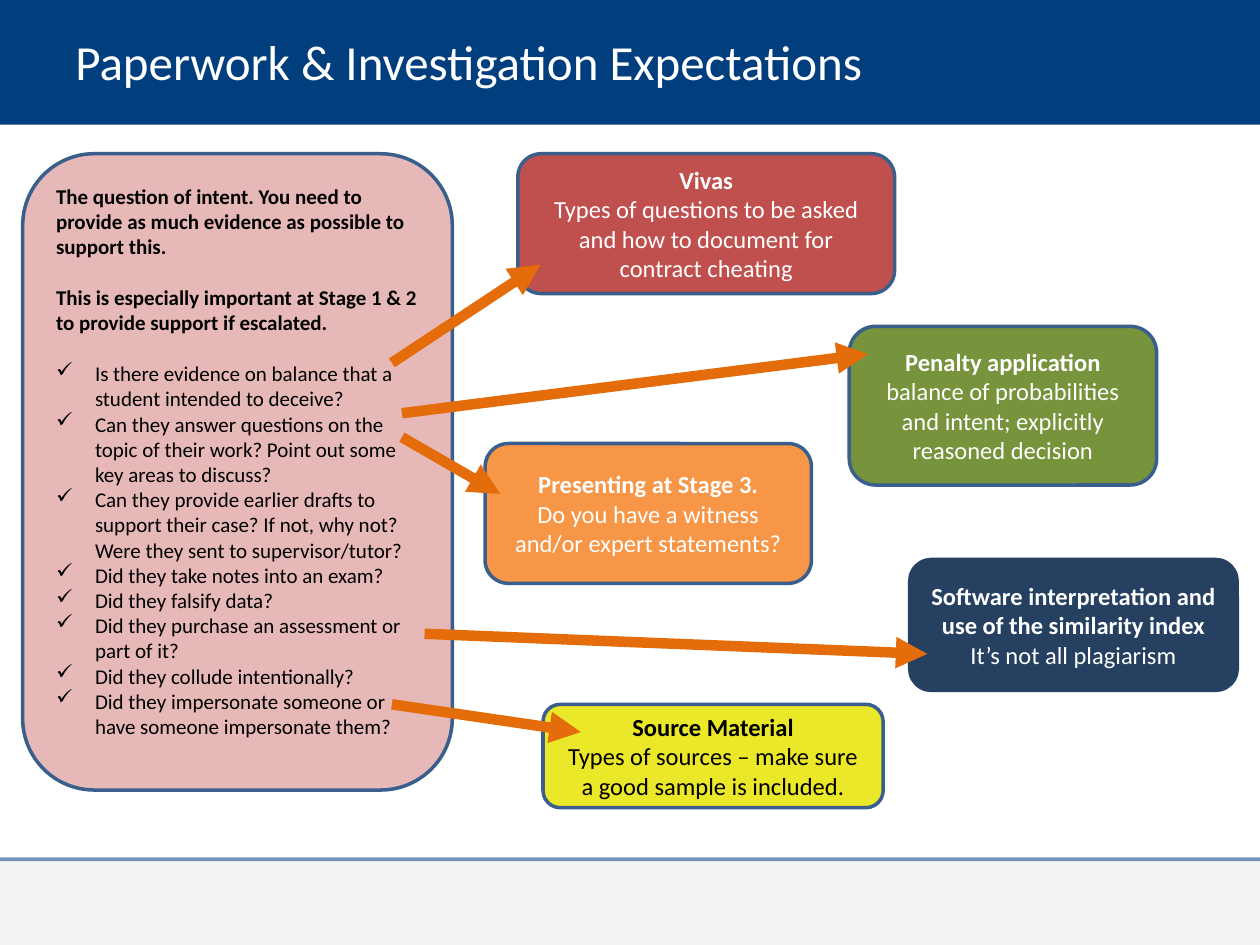
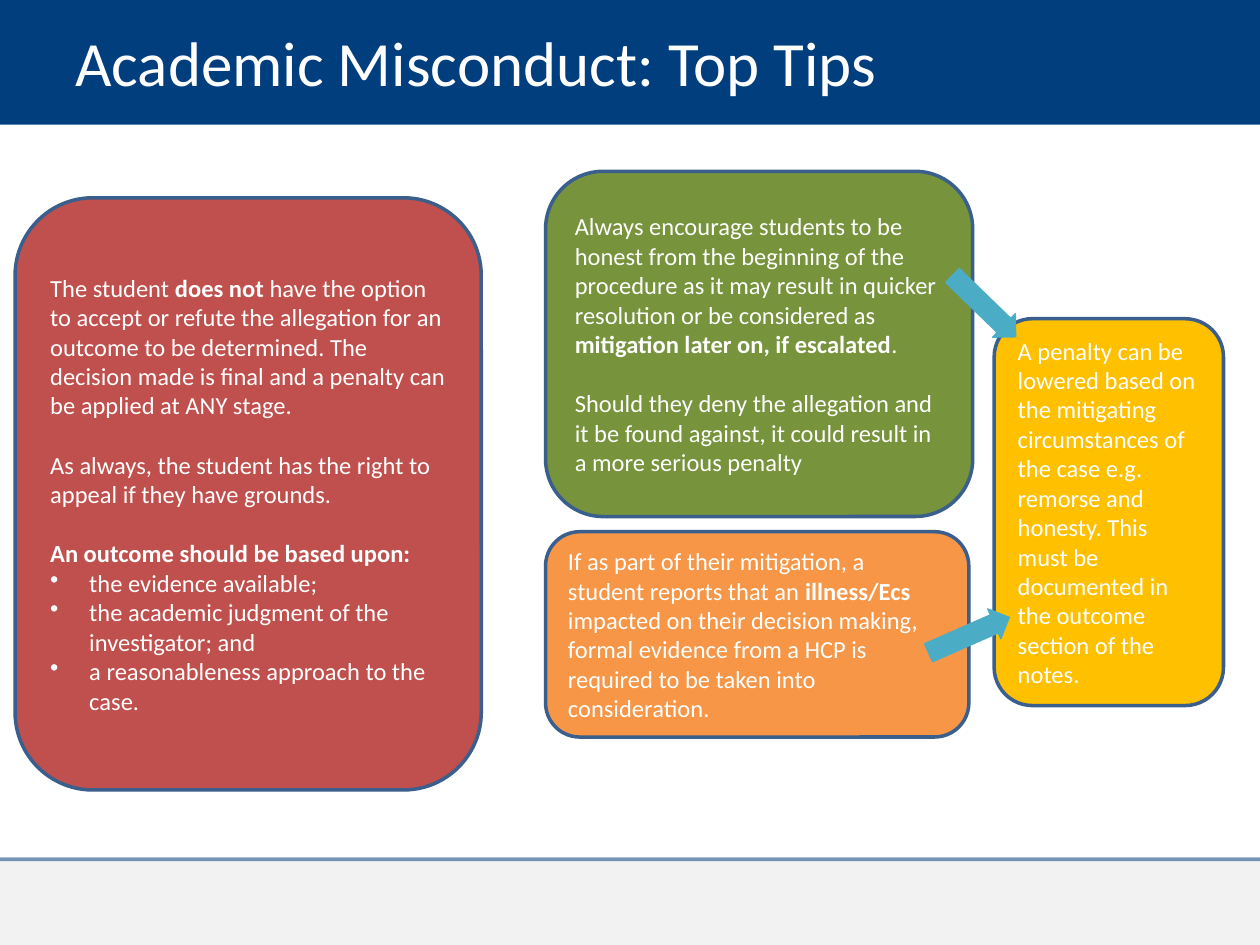
from dataclasses import dataclass

from lxml import etree
from pptx import Presentation
from pptx.dml.color import RGBColor
from pptx.enum import shapes, text
from pptx.oxml import ns
from pptx.util import Emu, Inches, Pt


@dataclass
class Theme:
    font: str = "Calibri"
    navy: str = "003E7E"
    gray: str = "808080"
    edge: str = "3A5F8C"
    ink: str = "254061"
    red: str = "C0504D"
    green: str = "77933C"
    orange: str = "F79646"
    yellow: str = "EBE729"
    gold: str = "FFC000"
    pink: str = "E6B9B8"
    flame: str = "E46C0A"
    teal: str = "4BACC6"
    white: str = "FFFFFF"
    black: str = "000000"
    small: int = 12
    body: int = 14
    title: int = 28
    large: int = 36


@dataclass
class Para:
    words: str
    mark: str = ""
    gap: float = 0


class Deck:
    cols, rows = 100, 75

    def __init__(self, theme):
        self.theme = theme
        self.prs = Presentation()
        self.prs.slide_width = Inches(10)
        self.prs.slide_height = Inches(7.5)
        self.slide = None

    def grid(self, *spots):
        units = (self.prs.slide_width / self.cols, self.prs.slide_height / self.rows)
        return [Emu(round(spot * units[i % 2])) for i, spot in enumerate(spots)]

    def sub(self, node, tag, **attrs):
        return etree.SubElement(node, ns.qn(tag), attrs)

    def fade(self, shape, share):
        for color in shape._element.spPr.iter(ns.qn("a:srgbClr")):
            self.sub(color, "a:alpha", val=str(share * 1000))

    def shape(self, kind, area, fill, edge=None, width=2):
        item = self.slide.shapes.add_shape(kind, *self.grid(*area))
        item.shadow.inherit = False
        item.fill.solid()
        item.fill.fore_color.rgb = RGBColor.from_string(fill)
        if edge:
            item.line.color.rgb = RGBColor.from_string(edge)
            item.line.width = Pt(width)
        else:
            item.line.fill.background()
        return item

    def line(self, start, end, color, width):
        item = self.slide.shapes.add_connector(
            shapes.MSO_CONNECTOR.STRAIGHT, *self.grid(*start, *end))
        item.line.color.rgb = RGBColor.from_string(color)
        item.line.width = Pt(width)
        self.sub(item._element.spPr, "a:effectLst")
        return item

    def link(self, start, end):
        item = self.line(start, end, self.theme.flame, 6)
        stroke = item._element.spPr.find(ns.qn("a:ln"))
        self.sub(stroke, "a:tailEnd", type="triangle")

    def say(self, frame, paras, size, color, align):
        frame.word_wrap = True
        frame.vertical_anchor = text.MSO_ANCHOR.MIDDLE
        for i, para in enumerate(paras):
            p = frame.add_paragraph() if i else frame.paragraphs[0]
            p.alignment = align
            p.space_before = Pt(para.gap)
            if para.mark:
                props = p._p.get_or_add_pPr()
                props.set("marL", str(Inches(0.31)))
                props.set("indent", str(-Inches(0.31)))
                self.sub(props, "a:buChar", char=para.mark)
            p.font.name = self.theme.font
            p.font.size = Pt(size)
            p.font.color.rgb = RGBColor.from_string(color)
            parts = [(words, n % 2 == 1)
                     for n, words in enumerate(para.words.split("*")) if words]
            mixed = len(parts) > 1
            if not mixed:
                p.font.bold = parts[0][1]
            for words, bold in parts:
                run = p.add_run()
                run.text = words
                if mixed:
                    run.font.bold = bold

    def card(self, area, fill, paras, size=None, color=None, edge=None,
             align=text.PP_ALIGN.LEFT):
        item = self.shape(shapes.MSO_SHAPE.ROUNDED_RECTANGLE, area, fill,
                          edge or self.theme.edge)
        self.say(item.text_frame, paras, size or self.theme.body,
                 color or self.theme.white, align)
        return item

    def topic(self, area, fill, *lines, **style):
        self.card(area, fill, [Para(words) for words in lines],
                  align=text.PP_ALIGN.CENTER, **style)

    def arrow(self, area, turn):
        item = self.shape(shapes.MSO_SHAPE.RIGHT_ARROW, area,
                          self.theme.teal, self.theme.teal, 0.75)
        item.adjustments[0] = 0.6
        item.rotation = turn

    def page(self, title, size):
        t = self.theme
        self.slide = self.prs.slides.add_slide(self.prs.slide_layouts[6])
        box = shapes.MSO_SHAPE.RECTANGLE
        self.shape(box, (0, 0, self.cols, 9.9), t.navy)
        foot = 68.2
        self.fade(self.shape(box, (0, foot, self.cols, self.rows - foot), t.gray), 10)
        self.fade(self.line((0, foot), (self.cols, foot), t.navy, 2.25), 52)
        head = self.slide.shapes.add_textbox(*self.grid(5, 1.4, 69.4, 6.9))
        self.say(head.text_frame, [Para(title)], size, t.white, text.PP_ALIGN.LEFT)


def papers(deck):
    t = deck.theme
    deck.page("Paperwork & Investigation Expectations", t.title)
    deck.topic((72.2, 44.4, 26, 10.4), t.ink,
               "*Software interpretation and use of the similarity index *"
               "It’s not all plagiarism", edge=t.ink)
    deck.topic((41.1, 12.2, 29.9, 11.1), t.red, "*Vivas*",
               "Types of questions to be asked and how to document for contract cheating")
    deck.topic((43.1, 55.9, 27, 8.2), t.yellow, "*Source Material*",
               "Types of sources – make sure a good sample is included.", color=t.black)
    deck.topic((67.4, 25.9, 24.4, 12.6), t.green,
               "*Penalty application *balance of probabilities and intent; "
               "explicitly reasoned decision")
    deck.topic((38.5, 35.2, 25.9, 11.1), t.orange, "*Presenting at Stage 3.*",
               "Do you have a witness and/or expert statements?")
    gap = 14.6
    asks = [
        "Is there evidence on balance that a student intended to deceive?",
        "Can they answer questions on the topic of their work? "
        "Point out some key areas to discuss?",
        "Can they provide earlier drafts to support their case? "
        "If not, why not? Were they sent to supervisor/tutor?",
        "Did they take notes into an exam?",
        "Did they falsify data?",
        "Did they purchase an assessment or part of it?",
        "Did they collude intentionally?",
        "Did they impersonate someone or have someone impersonate them?",
    ]
    intent = deck.card((1.8, 12.2, 34.1, 50.5), t.pink, [
        Para("*The question of intent. You need to provide as much evidence "
             "as possible to support this.*"),
        Para("*This is especially important at Stage 1 & 2 to provide support "
             "if escalated.*", gap=gap),
        *(Para(ask, "✓", 0 if i else gap) for i, ask in enumerate(asks)),
    ], t.small, t.black)
    intent.text_frame.margin_bottom = Inches(0.22)
    for start, end in [
        ((31.1, 28.8), (42.9, 21)),
        ((31.9, 32.8), (68.9, 28.1)),
        ((33.7, 50.3), (73.6, 51.9)),
        ((31.9, 34.7), (39.7, 39.2)),
        ((31.1, 55.9), (46.1, 58.1)),
    ]:
        deck.link(start, end)


def tips(deck):
    t = deck.theme
    gap = 17.1
    deck.page("Academic Misconduct: Top Tips", t.large)
    bases = ["the evidence available;",
             "the academic judgment of the investigator; and",
             "a reasonableness approach to the case."]
    deck.card((1.2, 15.7, 37, 47), t.red, [
        Para("The student *does not *have the option to accept or refute the "
             "allegation for an outcome to be determined. The decision made is "
             "final and a penalty can be applied at ANY stage."),
        Para("As always, the student has the right to appeal if they have grounds.",
             gap=gap),
        Para("*An outcome should be based upon:*", gap=gap),
        *(Para(base, "•") for base in bases),
    ])
    deck.card((43.3, 13.6, 33.9, 27.4), t.green, [
        Para("Always encourage students to be honest from the beginning of the "
             "procedure as it may result in quicker resolution or be considered "
             "as *mitigation later on, if escalated*."),
        Para("Should they deny the allegation and it be found against, it could "
             "result in a more serious penalty", gap=gap),
    ])
    deck.card((43.3, 42.2, 33.6, 16.3), t.orange, [
        Para("If as part of their mitigation, a student reports that an "
             "*illness/Ecs *impacted on their decision making, formal evidence "
             "from a HCP is required to be taken into consideration."),
    ])
    deck.card((78.9, 25.3, 18.2, 30.7), t.gold, [
        Para("A penalty can be lowered based on the mitigating circumstances of "
             "the case e.g. remorse and honesty. This must be documented in the "
             "outcome section of the notes."),
    ])
    deck.arrow((74.6, 23, 7, 2.6), 44.1)
    deck.arrow((73.4, 49.1, 7, 2.6), 336.3)


def main():
    deck = Deck(Theme())
    papers(deck)
    tips(deck)
    deck.prs.save("out.pptx")


if __name__ == "__main__":
    main()
